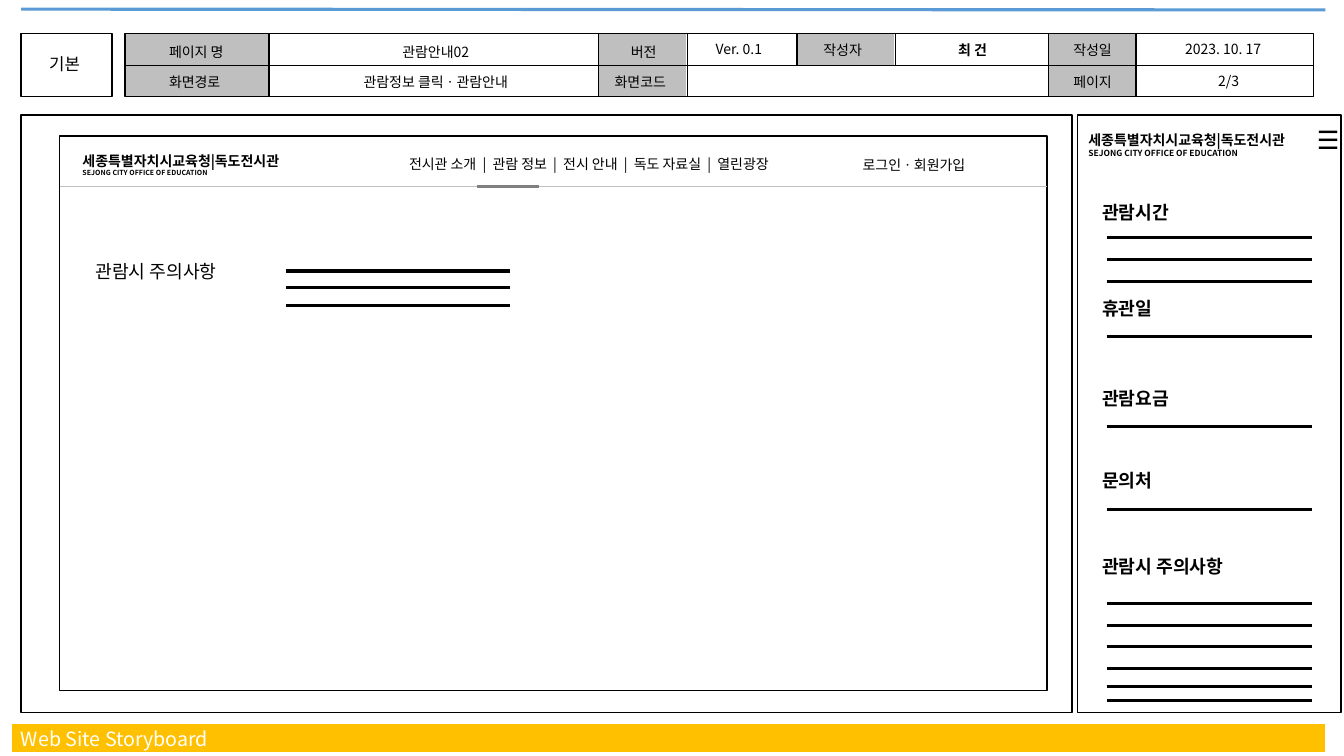
"""Builds a web site storyboard slide with desktop and mobile wireframes."""
from dataclasses import dataclass

from lxml import etree
from pptx import Presentation
from pptx.dml.color import RGBColor
from pptx.enum.shapes import MSO_CONNECTOR as Connector
from pptx.enum.shapes import MSO_SHAPE as Shape
from pptx.enum.text import MSO_ANCHOR as Anchor
from pptx.enum.text import PP_ALIGN as Align
from pptx.oxml.ns import qn
from pptx.util import Cm, Pt

FONT = "Noto Sans CJK KR"
COLORS = {
    "black": "000000",
    "white": "FFFFFF",
    "label": "BFBFBF",
    "active": "808080",
    "blue": "5B9BD5",
    "gold": "FFC000",
}


@dataclass
class Box:
    """A rectangle in centimetres."""
    left: float
    top: float
    width: float
    height: float

    def inner(self, left, top, width, height):
        """Return a box placed relative to this one."""
        return Box(self.left + left, self.top + top, width, height)

    def lengths(self):
        """Return left, top, width and height as slide lengths."""
        return Cm(self.left), Cm(self.top), Cm(self.width), Cm(self.height)


def color(name):
    """Look up a colour by name."""
    return RGBColor.from_string(COLORS[name])


def add_rectangle(slide, box, fill="white", outline="black"):
    """Draw an outlined rectangle, unfilled when fill is None."""
    shape = slide.shapes.add_shape(Shape.RECTANGLE, *box.lengths())
    shape.shadow.inherit = False
    if fill:
        shape.fill.solid()
        shape.fill.fore_color.rgb = color(fill)
    else:
        shape.fill.background()
    shape.line.color.rgb = color(outline)
    shape.line.width = Pt(1)


def add_line(slide, box, start, end, width=1, tint="black"):
    """Draw a straight line between two points relative to the box."""
    line = slide.shapes.add_connector(
        Connector.STRAIGHT,
        Cm(box.left + start[0]), Cm(box.top + start[1]),
        Cm(box.left + end[0]), Cm(box.top + end[1]))
    line.line.color.rgb = color(tint)
    line.line.width = Pt(width)
    etree.SubElement(line._element.spPr, qn("a:effectLst"))


def add_text(slide, box, lines, align=Align.LEFT, bold=False, tint="black", anchor=Anchor.TOP):
    """Write (text, size) lines as the paragraphs of a text box."""
    frame = slide.shapes.add_textbox(*box.lengths()).text_frame
    frame.word_wrap = True
    frame.vertical_anchor = anchor
    for index, (text, size) in enumerate(lines):
        paragraph = frame.add_paragraph() if index else frame.paragraphs[0]
        paragraph.alignment = align
        run = paragraph.add_run()
        run.text = text
        run.font.size = Pt(size)
        run.font.bold = bold
        run.font.color.rgb = color(tint)
        run.font.name = FONT
        etree.SubElement(run._r.get_or_add_rPr(), qn("a:ea"), typeface=FONT)


def add_site_name(slide, box, caption_size):
    """Write the two-line name of the site."""
    add_text(slide, box, [("세종특별자치시교육청|독도전시관", 10),
                          ("SEJONG CITY OFFICE OF EDUCATION", caption_size)], bold=True)


def add_text_lines(slide, box, left, right, tops):
    """Draw thick lines that stand for body text."""
    for top in tops:
        add_line(slide, box, (left, top), (right, top), 2.25)


def add_badge(slide, box):
    """Draw the box that names the screen state."""
    add_rectangle(slide, box)
    add_text(slide, box.inner(0.46, 0.4, 1.37, 0.91), [("기본", 12)])


def add_page_info(slide, box):
    """Draw the two-row grid of page details."""
    middle = 0.81
    for left, width, height in [(23.27, 2.23, box.height), (0, 3.65, box.height),
                                (11.94, 2.22, box.height), (16.94, 2.47, middle)]:
        add_rectangle(slide, box.inner(left, 0, width, height), "label", "white")
    add_rectangle(slide, box, None)
    add_line(slide, box, (0, middle), (box.width, middle))
    for left in (3.63, 11.94, 14.17, 23.27, 25.48):
        add_line(slide, box, (left, 0), (left, box.height))
    for left in (16.94, 19.41):
        add_line(slide, box, (left, 0), (left, middle))

    labels = [
        (0.86, 0.13, 2.39, "페이지 명"),
        (0.86, 0.89, 2.39, "화면경로"),
        (12.09, 0.89, 1.93, "화면코드"),
        (17.35, 0.07, 1.7, "작성자"),
        (23.65, 0.07, 1.57, "작성일"),
        (23.65, 0.89, 1.57, "페이지"),
    ]
    for left, top, width, text in labels:
        add_text(slide, box.inner(left, top, width, 0.69), [(text, 10)])

    centered = [
        (12.12, 0.13, 1.9, "버전", False),
        (4.06, 0.13, 7.54, "관람안내02", False),
        (4.06, 0.89, 7.54, "관람정보 클릭ㆍ관람안내", False),
        (14.38, 0.05, 2.18, "Ver. 0.1", False),
        (20.27, 0.07, 2.18, "최 건", True),
        (26.39, 0.05, 2.57, "2023. 10. 17", False),
        (26.29, 0.86, 3.05, "2/3", False),
    ]
    for left, top, width, text, bold in centered:
        add_text(slide, box.inner(left, top, width, 0.69), [(text, 10)], Align.CENTER, bold)


def add_desktop(slide, box):
    """Draw the desktop wireframe inside its panel."""
    add_rectangle(slide, box)
    page = box.inner(0.97, 0.53, 24.89, 13.97)
    add_rectangle(slide, page)
    add_site_name(slide, page.inner(0.33, 0.28, 6.4, 0.89), 5)
    menu = ["전시관 소개", "관람 정보", "전시 안내", "독도 자료실", "열린광장"]
    add_text(slide, page.inner(7.69, 0.36, 11.3, 0.69), [("  |  ".join(menu), 10)], Align.CENTER)
    add_text(slide, page.inner(19.99, 0.38, 3.35, 0.69), [("로그인ㆍ회원가입", 10)])
    add_text(slide, page.inner(0.66, 3, 3.89, 0.81), [("관람시 주의사항", 13)])
    add_text_lines(slide, page, 5.71, 11.35, (3.4, 3.81, 4.27))
    add_line(slide, page, (0, 1.27), (page.width, 1.27), 0.5, "label")
    add_line(slide, page, (10.51, 1.27), (12.09, 1.27), 2.25, "active")


def add_mobile(slide, box):
    """Draw the mobile wireframe."""
    add_rectangle(slide, box)
    sections = [
        ("관람시간", 1.77, (3.09, 3.63, 4.19)),
        ("휴관일", 4.19, (5.58,)),
        ("관람요금", 6.45, (7.84,)),
        ("문의처", 8.53, (9.93,)),
        ("관람시 주의사항", 10.69, (12.31, 12.87, 13.38, 13.94, 14.4, 14.75)),
    ]
    for title, top, line_tops in sections:
        add_text(slide, box.inner(0.38, top, 3.89, 1.35), [(title, 13)],
                 bold=True, anchor=Anchor.MIDDLE)
        add_text_lines(slide, box, 0.74, 5.92, line_tops)
    add_text(slide, box.inner(5.79, 0.12, 0.76, 1.12), [("☰", 18)], Align.CENTER)
    add_site_name(slide, box.inner(0.03, 0.28, 5.94, 1.02), 6)


def add_footer(slide, box):
    """Draw the gold band with the document title."""
    middle = box.height / 2
    add_line(slide, box, (0, middle), (box.width, middle), 20, "gold")
    add_text(slide, box.inner(-0.02, -0.05, 6.63, 0.86),
             [("Web Site Storyboard", 14)], tint="white")


def main():
    """Build the slide and save it."""
    presentation = Presentation()
    presentation.slide_width = Cm(33.87)
    presentation.slide_height = Cm(19.05)
    slide = presentation.slides.add_slide(presentation.slide_layouts[6])
    add_line(slide, Box(0.53, 0.23, 32.87, 0.02), (0, 0), (32.87, 0.02), 2.25, "blue")
    add_badge(slide, Box(0.53, 0.84, 2.29, 1.6))
    add_page_info(slide, Box(3.15, 0.84, 29.95, 1.6))
    add_desktop(slide, Box(0.53, 2.9, 26.49, 15.06))
    add_mobile(slide, Box(27.15, 2.9, 6.65, 15.06))
    add_footer(slide, Box(0.3, 18.24, 33.1, 0.7))
    presentation.save("out.pptx")


if __name__ == "__main__":
    main()
